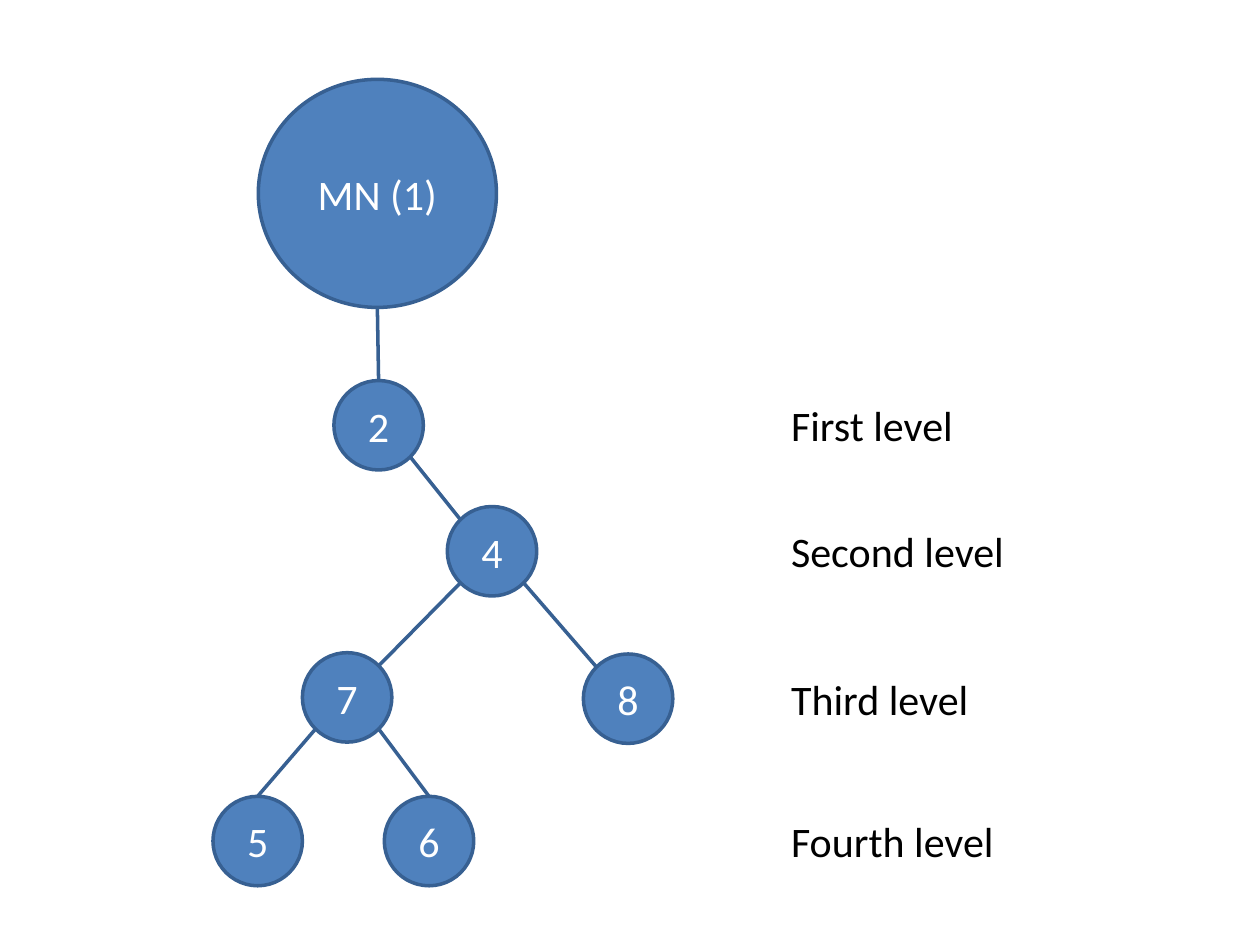
"""Draw a tree of numbered nodes with a label for each level."""
import math

import lxml.etree
import pptx
import pptx.dml.color
import pptx.enum.shapes
import pptx.enum.text
import pptx.oxml.ns
import pptx.util

Inches = pptx.util.Inches
BLUE = pptx.dml.color.RGBColor(0x4F, 0x81, 0xBD)
NAVY = pptx.dml.color.RGBColor(0x37, 0x60, 0x92)
WHITE = pptx.dml.color.RGBColor(0xFF, 0xFF, 0xFF)
BLACK = pptx.dml.color.RGBColor(0x00, 0x00, 0x00)

SIZE = 0.71
NODES = {
    "MN (1)": (2.05, 0.63, 1.89, 1.81),
    "2": (2.65, 3.02, SIZE, SIZE),
    "4": (3.55, 4.02, SIZE, SIZE),
    "5": (1.69, 6.32, SIZE, SIZE),
    "6": (3.05, 6.32, SIZE, SIZE),
    "7": (2.4, 5.18, SIZE, SIZE),
    "8": (4.63, 5.19, SIZE, SIZE),
}
TOP, LEFT_TOP, RIGHT_TOP = 270, 225, 315
BOTTOM, LEFT_LOW, RIGHT_LOW = 90, 135, 45
LINKS = [
    ("MN (1)", BOTTOM, "2", TOP),
    ("7", LEFT_LOW, "5", TOP),
    ("7", RIGHT_LOW, "6", TOP),
    ("4", LEFT_LOW, "7", RIGHT_TOP),
    ("2", RIGHT_LOW, "4", LEFT_TOP),
    ("4", RIGHT_LOW, "8", LEFT_TOP),
]
LEVELS = [
    ("First level", 3.12, 1.54),
    ("Second level", 4.12, 1.91),
    ("Third level", 5.3, 1.62),
    ("Fourth level", 6.42, 1.83),
]


def rim(name, angle):
    """Return the point on a node's outline at an angle in degrees."""
    left, top, width, height = NODES[name]
    turn = math.radians(angle)
    x = left + width / 2 * (1 + math.cos(turn))
    y = top + height / 2 * (1 + math.sin(turn))
    return Inches(x), Inches(y)


class Board:
    """Hold the style and the current slide."""

    def __init__(self, slide, font="Calibri", size=24, weight=2):
        self.slide = slide
        self.font = font
        self.size = pptx.util.Pt(size)
        self.weight = pptx.util.Pt(weight)

    def add_text(self, para, text, color):
        """Add one styled run to a paragraph."""
        run = para.add_run()
        run.text = text
        run.font.name = self.font
        run.font.size = self.size
        run.font.color.rgb = color

    def stroke(self, line):
        """Style a line or an outline."""
        line.color.rgb = NAVY
        line.width = self.weight

    def node(self, text, box):
        """Add a filled ellipse with centred text."""
        kind = pptx.enum.shapes.MSO_SHAPE.OVAL
        shape = self.slide.shapes.add_shape(kind, *map(Inches, box))
        shape.shadow.inherit = False
        shape.fill.solid()
        shape.fill.fore_color.rgb = BLUE
        self.stroke(shape.line)
        frame = shape.text_frame
        frame.vertical_anchor = pptx.enum.text.MSO_ANCHOR.MIDDLE
        para = frame.paragraphs[0]
        para.alignment = pptx.enum.text.PP_ALIGN.CENTER
        self.add_text(para, text, WHITE)

    def link(self, start, end):
        """Add a straight line between two points."""
        kind = pptx.enum.shapes.MSO_CONNECTOR.STRAIGHT
        link = self.slide.shapes.add_connector(kind, *start, *end)
        self.stroke(link.line)
        lxml.etree.SubElement(link._element.spPr, pptx.oxml.ns.qn("a:effectLst"))

    def label(self, text, top, width):
        """Add the name of a level."""
        box = self.slide.shapes.add_textbox(
            Inches(6.18), Inches(top), Inches(width), Inches(0.5)
        )
        frame = box.text_frame
        frame.word_wrap = False
        frame.auto_size = pptx.enum.text.MSO_AUTO_SIZE.SHAPE_TO_FIT_TEXT
        self.add_text(frame.paragraphs[0], text, BLACK)


def main():
    """Build and save the slide."""
    deck = pptx.Presentation()
    deck.slide_width = Inches(10)
    deck.slide_height = Inches(7.5)
    board = Board(deck.slides.add_slide(deck.slide_layouts[6]))
    for name, box in NODES.items():
        board.node(name, box)
    for name, angle, child, side in LINKS:
        board.link(rim(name, angle), rim(child, side))
    for level in LEVELS:
        board.label(*level)
    deck.save("out.pptx")


if __name__ == "__main__":
    main()
